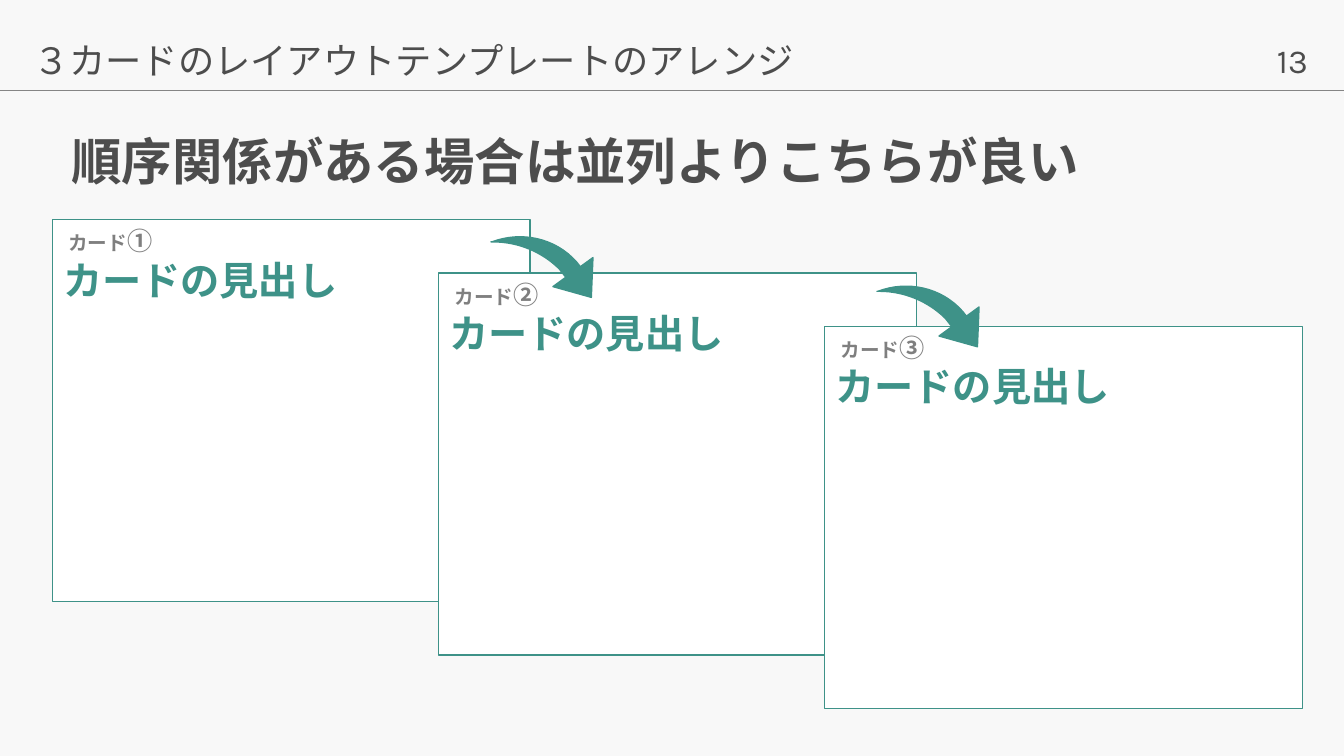
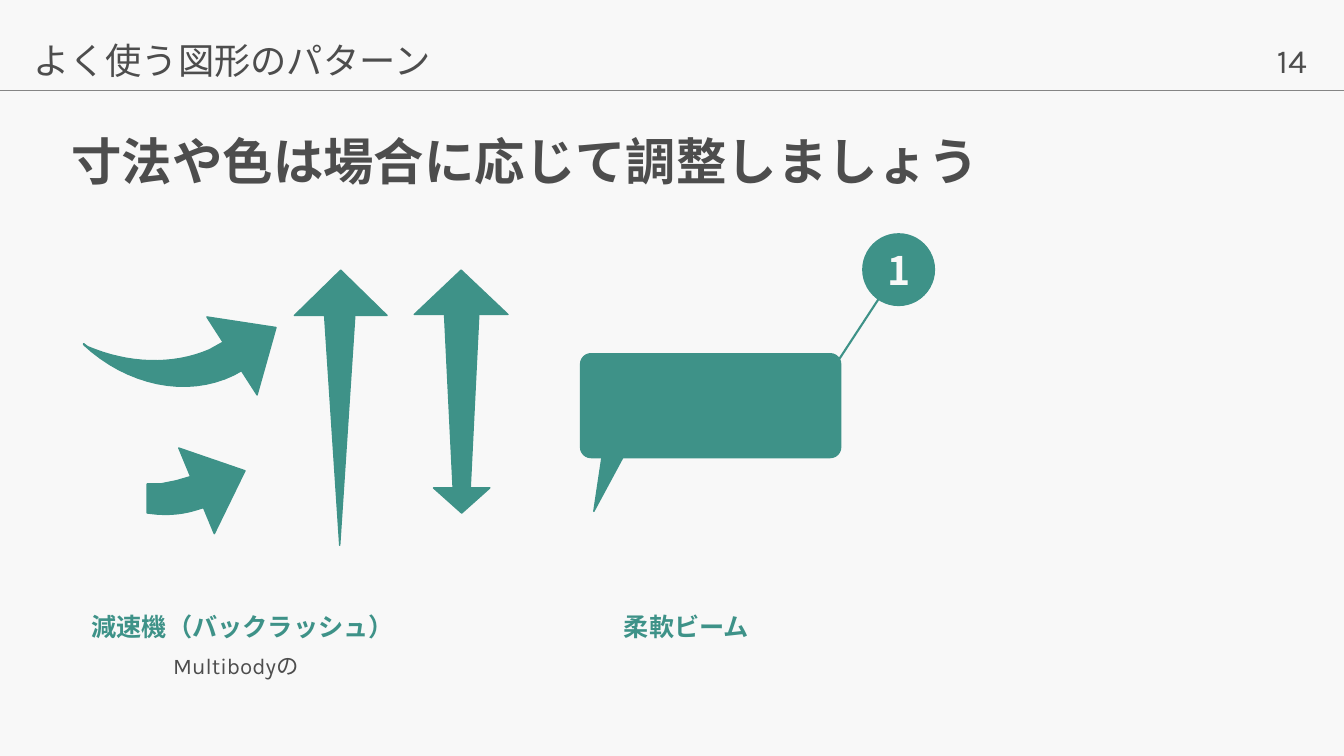
import pptx
import pptx.dml.color
import pptx.enum.shapes
import pptx.enum.text
import pptx.oxml.ns
import pptx.util
from lxml import etree

CELL = pptx.util.Inches(0.1)  # side of one square of the grid
COLS, ROWS = 133.33, 75
FIRST = 13
KIND = pptx.enum.shapes.MSO_SHAPE
ALIGN = pptx.enum.text.PP_ALIGN
ANCHOR = pptx.enum.text.MSO_ANCHOR
FONTS = {"cjk": "Noto Sans CJK JP", "latin": "Karla"}
COLORS = {
    "back": "F8F8F8", "text": "4D4D4D", "rule": "858585",
    "card": "FFFFFF", "teal": "3E9288", "tag": "7F7F7F",
}


def grid(*cells):
    return [pptx.util.Emu(round(n * CELL)) for n in cells]


def color(name):
    return pptx.dml.color.RGBColor.from_string(COLORS[name])


def node(parent, tag, **attrs):
    return etree.SubElement(parent, pptx.oxml.ns.qn(tag), **attrs)


def bezier(ends, steps=16):
    """Points along a cubic curve, without its start."""
    for i in range(1, steps + 1):
        t = i / steps
        u = 1 - t
        mix = (u ** 3, 3 * u * u * t, 3 * u * t * t, t ** 3)
        yield tuple(sum(m * p[k] for m, p in zip(mix, ends)) for k in (0, 1))


class Deck:
    """Holds the style and the current slide."""

    def __init__(self):
        self.prs = pptx.Presentation()
        self.prs.slide_width, self.prs.slide_height = grid(COLS, ROWS)
        self.prs.element.set("firstSlideNum", str(FIRST))
        fill = self.prs.slide_master.background.fill
        fill.solid()
        fill.fore_color.rgb = color("back")

    def page(self, head, title):
        """Start a slide with its band, page number and title."""
        slide = self.prs.slides.add_slide(self.prs.slide_layouts[5])
        self.shapes = slide.shapes
        box = self.shapes.title
        box.left, box.top, box.width, box.height = grid(6.1, 11.1, 124, 10.3)
        box.text_frame.auto_size = pptx.enum.text.MSO_AUTO_SIZE.NONE
        box.text_frame.vertical_anchor = ANCHOR.MIDDLE
        para = box.text_frame.paragraphs[0]
        para.text, para.line_spacing = title, 0.9
        para.alignment = ALIGN.LEFT
        self.style(para, 36, bold=True)
        self.line((0, 9), (COLS, 9), "rule", 1)
        self.text((2.3, 3.8, 120, 5.1), head, 25.9).line_spacing = 0.9
        para = self.text((125.7, 3.5, 7, 5), "", 24, face="latin")
        field = node(para._p, "a:fld", type="slidenum",
                     id="{B6F15528-21DE-4FAA-801E-634DDDAF4B2B}")
        node(field, "a:rPr", lang="en-US")
        node(field, "a:t").text = str(FIRST + len(self.prs.slides) - 1)

    def style(self, para, size, tone="text", bold=False, face="cjk"):
        font = para.font
        font.size, font.bold = pptx.util.Pt(size), bold
        font.color.rgb = color(tone)
        font.name = FONTS[face]
        node(para._p.pPr.find(pptx.oxml.ns.qn("a:defRPr")), "a:ea",
             typeface=FONTS["cjk"])

    def text(self, area, words, size, tone="text", bold=False, face="cjk"):
        frame = self.shapes.add_textbox(*grid(*area)).text_frame
        frame.word_wrap = True
        para = frame.paragraphs[0]
        if words:
            para.add_run().text = words
        self.style(para, size, tone, bold, face)
        return para

    def line(self, start, end, tone, width):
        link = self.shapes.add_connector(
            pptx.enum.shapes.MSO_CONNECTOR.STRAIGHT, *grid(*start, *end))
        link.line.color.rgb = color(tone)
        link.line.width = pptx.util.Pt(width)
        node(link._element.spPr, "a:effectLst")
        return link

    def paint(self, shape, tone="teal"):
        shape.shadow.inherit = False
        shape.fill.solid()
        shape.fill.fore_color.rgb = color(tone)
        shape.line.color.rgb = color("teal")
        shape.line.width = pptx.util.Pt(1)
        return shape

    def shape(self, kind, area, turn=0, tone="teal"):
        item = self.shapes.add_shape(kind, *grid(*area))
        item.rotation = turn
        return self.paint(item, tone)

    def wedge(self, area, turn=0):
        return self.shape(KIND.ISOSCELES_TRIANGLE, area, turn)

    def tail(self, steps, dx=0, dy=0):
        """Closed outline: pairs are corners, six numbers are a curve."""
        dots = []
        for step in steps:
            pairs = [(x + dx, y + dy) for x, y in zip(step[::2], step[1::2])]
            dots += pairs if len(pairs) == 1 else bezier([dots[-1], *pairs])
        first, *rest = [grid(*dot) for dot in dots]
        pen = self.shapes.build_freeform(*first, scale=1.0)
        pen.add_line_segments(rest, close=True)
        return self.paint(pen.convert_to_shape())

    def group(self, *parts):
        self.shapes.add_group_shape(parts)

    def card(self, left, top, mark):
        self.shape(KIND.RECTANGLE, (left, top, 47.4, 37.9), tone="card")
        para = self.text((left + 0.6, top + 0.1, 13, 4), "カード", 14, "tag", True)
        run = para.add_run()
        run.text, run.font.size = mark, pptx.util.Pt(18)
        self.text((left + 0.1, top + 3.1, 32, 5.7), "カードの見出し", 28, "teal", True)

    def badge(self, area, words):
        frame = self.shape(KIND.OVAL, area).text_frame
        frame.vertical_anchor = ANCHOR.MIDDLE
        para = frame.paragraphs[0]
        para.text, para.alignment = words, ALIGN.CENTER
        self.style(para, 28, "back", True)


HOP = [(56.2, 27.6), (57.6, 26.5), (57.2, 26), (55.1, 23.6, 51.7, 22.9, 48.8, 24),
       (48.7, 24), (49, 24), (51.4, 24, 53.8, 25, 55.5, 26.7)]
SWEEP = [(22.4, 33.8), (24.1, 36.7), (23.2, 37.2),
         (18.5, 39.5, 12.6, 38.2, 8.3, 34.2), (8.3, 34.1), (8.7, 34.4),
         (12.7, 36.1, 17.1, 36.3, 20.8, 34.7)]
STUB = [(19.2, 47.2), (20.4, 50.3), (19.4, 50.6),
        (18.1, 51, 16.8, 51.1, 15.5, 51), (14.6, 50.9), (14.6, 48), (16, 48),
        (16.5, 47.9, 17, 47.8, 17.5, 47.7)]


def cards(deck):
    deck.page("３カードのレイアウトテンプレートのアレンジ",
              "順序関係がある場合は並列よりこちらが良い")
    for i, mark in enumerate("①②③"):
        deck.card(5.2 + 38.3 * i, 21.8 + 5.3 * i, mark)
    for i in range(2):
        dx, dy = 38.3 * i, 4.9 * i
        deck.group(deck.wedge((55.3 + dx, 26.7 + dy, 4.9, 3.1), 144),
                   deck.tail(HOP, dx, dy))


def forms(deck):
    deck.page("よく使う図形のパターン", "寸法や色は場合に応じて調整しましょう")
    deck.group(deck.wedge((20.6, 31.3, 9.2, 5.2), 57.2), deck.tail(SWEEP))
    deck.group(deck.wedge((41.1, 26.8, 9.3, 4.4)),
               deck.wedge((43, 48.4, 5.6, 2.5), 180),
               deck.shape(KIND.TRAPEZOID, (44.1, 31.2, 3.4, 17.2), 180))
    bubble = deck.shape(KIND.ROUNDED_RECTANGLE, (57.6, 35.1, 25.8, 10.3))
    bubble.adjustments[0] = 0.1
    deck.group(bubble, deck.wedge((58.8, 44.3, 2.3, 6.6), 198.4))
    deck.group(deck.wedge((29.2, 26.8, 9.2, 4.5)),
               deck.wedge((32.2, 31.3, 3, 22.8), 180))
    link = deck.line((81.7, 38), (87.4, 29.3), "teal", 1.5)
    node(link.line._get_or_add_ln(), "a:headEnd", type="oval")
    deck.badge((85.6, 23.2, 7.1, 7.1), "1")
    deck.group(deck.wedge((17.3, 45.1, 9.2, 5.2), 67.5), deck.tail(STUB))
    for left, words in ((60.9, "柔軟ビーム"), (8.1, "減速機（バックラッシュ）")):
        deck.text((left, 60.2, 49.5, 4), words, 18, "teal", True)
    deck.text((16.2, 64.2, 67.3, 3.7), "Multibodyの", 16, face="latin")


def main():
    deck = Deck()
    cards(deck)
    forms(deck)
    deck.prs.save("out.pptx")


if __name__ == "__main__":
    main()
